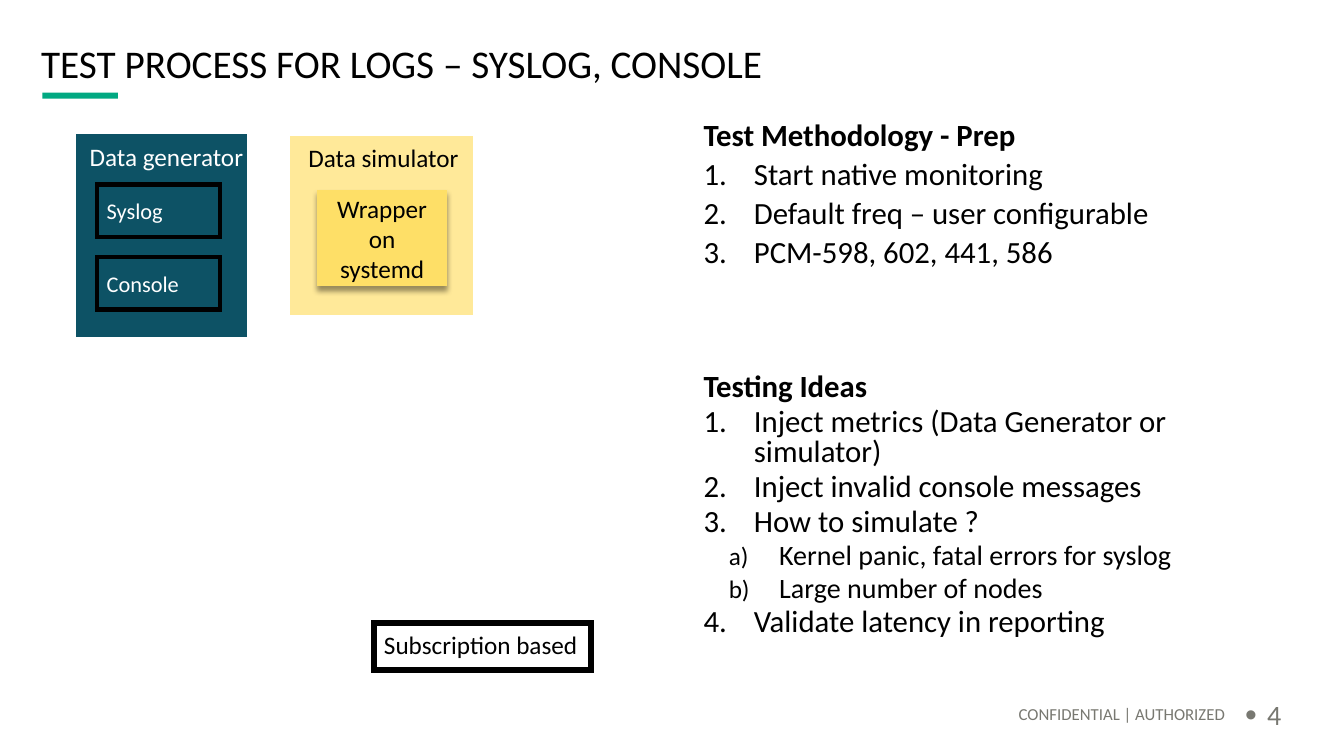
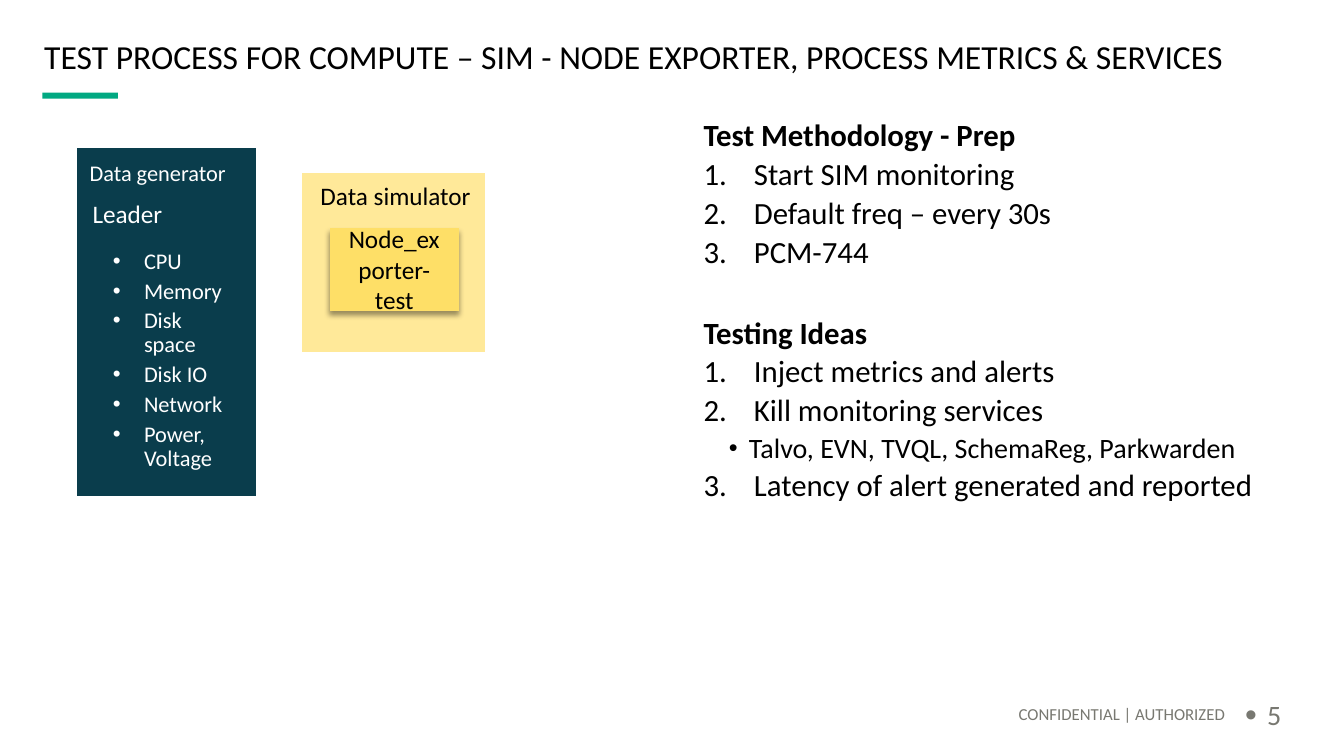
"""Build two slides on test processes for logs and for compute metrics."""
from lxml import etree
from pptx import Presentation
from pptx.dml.color import RGBColor
from pptx.enum.shapes import MSO_SHAPE
from pptx.enum.text import MSO_ANCHOR, PP_ALIGN
from pptx.oxml.ns import qn
from pptx.util import Inches, Pt

RECTANGLE = MSO_SHAPE.RECTANGLE
TOP, MIDDLE = MSO_ANCHOR.TOP, MSO_ANCHOR.MIDDLE
LEFT, CENTER, RIGHT = PP_ALIGN.LEFT, PP_ALIGN.CENTER, PP_ALIGN.RIGHT

THEME = {
    "font": "Calibri",
    "black": "000000", "white": "FFFFFF", "gray": "787871", "green": "01A982",
    "teal": "0D5265", "navy": "0A3D4C", "cream": "FFE999", "yellow": "FEDF67",
    "body": 22, "sub": 20, "label": 18, "small": 16, "footer": 12, "number": 20,
}
NUMBER = ("buAutoNum", "type", "arabicPeriod")
LETTER = ("buAutoNum", "type", "alphaLcParenR")
DOT = ("buChar", "char", "•")
LISTS = {
    "step": {"level": 0, "left": 0.5, "hang": 0.5, "mark": NUMBER, "scale": 100},
    "letter": {"level": 1, "left": 0.75, "hang": 0.5, "mark": LETTER, "scale": 90},
    "detail": {"level": 1, "left": 0.45, "hang": 0.2, "mark": DOT, "scale": 90},
    "item": {"level": 0, "left": 0.31, "hang": 0.31, "mark": DOT, "scale": 100},
    "page": {"level": 0, "left": 0.22, "hang": 0.22, "mark": DOT, "scale": 120},
}


def write(frame, lines, size, color, spacing, before, align):
    """Fill a text frame with (text, kind) lines."""
    for index, (text, kind) in enumerate(lines):
        para = frame.add_paragraph() if index else frame.paragraphs[0]
        para.text = text
        para.alignment = align
        para.line_spacing = spacing
        para.space_before = Pt(before)
        if kind in LISTS:
            style = LISTS[kind]
            para.level = style["level"]
            props = para._p.get_or_add_pPr()
            props.set("marL", str(Inches(style["left"])))
            props.set("indent", str(-Inches(style["hang"])))
            etree.SubElement(props, qn("a:buSzPct")).set("val", str(style["scale"] * 1000))
            if style["mark"] == DOT:
                etree.SubElement(props, qn("a:buFont")).set("typeface", "Arial")
            tag, key, value = style["mark"]
            etree.SubElement(props, qn("a:" + tag)).set(key, value)
        font = para.font
        font.name = THEME["font"]
        font.size = Pt(THEME["sub"] if kind in ("letter", "detail") else size)
        font.bold = kind == "head"
        font.color.rgb = RGBColor.from_string(THEME[color])


def add_box(shapes, area, lines=(), size=18, color="black", fill=None, line=None, width=4.5,
            spacing=0.9, before=4, align=LEFT, anchor=TOP, pad=0.1):
    """Add a rectangle or a plain text box and return it."""
    place = [Inches(value) for value in area]
    if fill or line:
        box = shapes.add_shape(RECTANGLE, *place)
        box.shadow.inherit = False
        if fill:
            box.fill.solid()
            box.fill.fore_color.rgb = RGBColor.from_string(THEME[fill])
        else:
            box.fill.background()
        if line:
            box.line.color.rgb = RGBColor.from_string(THEME[line])
            box.line.width = Pt(width)
            outline = box._element.spPr.find(qn("a:ln"))
            etree.SubElement(outline, qn("a:miter")).set("lim", "800000")
        else:
            box.line.fill.background()
    else:
        box = shapes.add_textbox(*place)
    frame = box.text_frame
    frame.word_wrap = True
    frame.vertical_anchor = anchor
    frame.margin_left = frame.margin_right = Inches(0.1)
    frame.margin_top = frame.margin_bottom = Inches(pad)
    write(frame, lines, size, color, spacing, before, align)
    return box


PAGES = [
    {
        "number": "4",
        "title": "TEST PROCESS FOR LOGS – SYSLOG, CONSOLE",
        "title_area": (0.31, 0.43, 12.5, 0.44), "title_size": 28,
        "prep": ["Start native monitoring", "Default freq – user configurable",
                 "PCM-598, 602, 441, 586"],
        "ideas": [("Inject metrics (Data Generator or simulator)", "step"),
                  ("Inject invalid console messages", "step"),
                  ("How to simulate ?", "step"),
                  ("Kernel panic, fatal errors for syslog", "letter"),
                  ("Large number of nodes", "letter"),
                  ("Validate latency in reporting", "step")],
        "ideas_top": 3.61, "ideas_spacing": 0.8,
        "generator": (0.79, 1.36, 1.63, 1.95), "generator_fill": "teal",
        "heading_top": 1.34, "heading_size": THEME["label"],
        "simulator": (2.91, 1.38), "tool": "Wrapper on systemd", "tool_height": 0.89,
    },
    {
        "number": "5",
        "title": "TEST PROCESS FOR COMPUTE – SIM - NODE EXPORTER, PROCESS METRICS & SERVICES",
        "title_area": (0.34, 0.25, 12.5, 0.66), "title_size": 24,
        "prep": ["Start SIM monitoring", "Default freq – every 30s", "PCM-744"],
        "ideas": [("Inject metrics and alerts", "step"),
                  ("Kill monitoring services", "step"),
                  ("Talvo, EVN, TVQL, SchemaReg, Parkwarden", "detail"),
                  ("Latency of alert generated and reported", "step")],
        "ideas_top": 3.05, "ideas_spacing": 0.9,
        "generator": (0.79, 1.5, 1.72, 3.39), "generator_fill": "navy",
        "heading_top": 1.51, "heading_size": THEME["small"],
        "simulator": (3.03, 1.75), "tool": "Node_exporter-test", "tool_height": 0.76,
    },
]

deck = Presentation()
deck.slide_width, deck.slide_height = Inches(13.33), Inches(7.5)
slides = []

for content in PAGES:
    page = deck.slides.add_slide(deck.slide_layouts[6])
    slides.append(page)
    shapes = page.shapes

    add_box(shapes, (0.42, 0.92, 0.75, 0.06), fill="green")
    add_box(shapes, content["title_area"], [(content["title"], "plain")],
            content["title_size"], before=0, anchor=MIDDLE)
    add_box(shapes, (7.75, 6.96, 4.5, 0.24), [("CONFIDENTIAL | AUTHORIZED", "plain")],
            THEME["footer"], "gray", before=0, align=RIGHT, pad=0.05)
    add_box(shapes, (12.25, 6.91, 0.75, 0.4), [(content["number"], "page")],
            THEME["number"], "gray", before=0, anchor=MIDDLE, pad=0.05)

    prep = [("Test Methodology - Prep", "head")] + [(text, "step") for text in content["prep"]]
    add_box(shapes, (6.88, 1.09, 6.04, 2.05), prep, THEME["body"])
    add_box(shapes, (6.88, content["ideas_top"], 6.04, 2.62),
            [("Testing Ideas", "head")] + content["ideas"], THEME["body"],
            spacing=content["ideas_spacing"])

    fill = content["generator_fill"]
    add_box(shapes, content["generator"], fill=fill, line=fill)
    add_box(shapes, (0.79, content["heading_top"], 1.82, 0.47), [("Data generator", "plain")],
            content["heading_size"], "white")

    left, top = content["simulator"]
    simulator = shapes.add_group_shape().shapes
    add_box(simulator, (left, top, 1.75, 1.71), fill="cream", line="cream")
    add_box(simulator, (left + 0.05, top - 0.03, 1.82, 0.47), [("Data simulator", "plain")],
            THEME["label"])
    tool = add_box(simulator, (left + 0.27, top + 0.54, 1.22, content["tool_height"]),
                   [(content["tool"], "plain")], THEME["label"], fill="yellow", line="yellow",
                   spacing=1.0, before=0, align=CENTER, anchor=MIDDLE)
    effects = tool._element.spPr.find(qn("a:effectLst"))
    shadow = etree.SubElement(effects, qn("a:outerShdw"), blurRad=str(Pt(4)), dist=str(Pt(3)),
                              dir="5400000", algn="t", rotWithShape="0")
    shade = etree.SubElement(shadow, qn("a:srgbClr"), val=THEME["black"])
    etree.SubElement(shade, qn("a:alpha"), val="40000")

logs, compute = slides
for index, name in enumerate(["Syslog", "Console"]):
    add_box(logs.shapes, (0.96, 1.83 + 0.72 * index, 1.22, 0.52), [(name, "plain")],
            THEME["small"], "white", line="black", width=3, spacing=1.0, before=0, anchor=MIDDLE)
add_box(logs.shapes, (3.71, 6.18, 2.15, 0.47), [("Subscription based", "plain")],
        THEME["label"], line="black")

add_box(compute.shapes, (0.82, 1.9, 1.27, 0.47), [("Leader", "plain")], THEME["label"], "white")
metrics = ["CPU", "Memory", "Disk space", "Disk IO", "Network", "Power, Voltage"]
add_box(compute.shapes, (1.02, 2.38, 1.38, 2.42), [(metric, "item") for metric in metrics],
        THEME["small"], "white")

deck.save("out.pptx")
